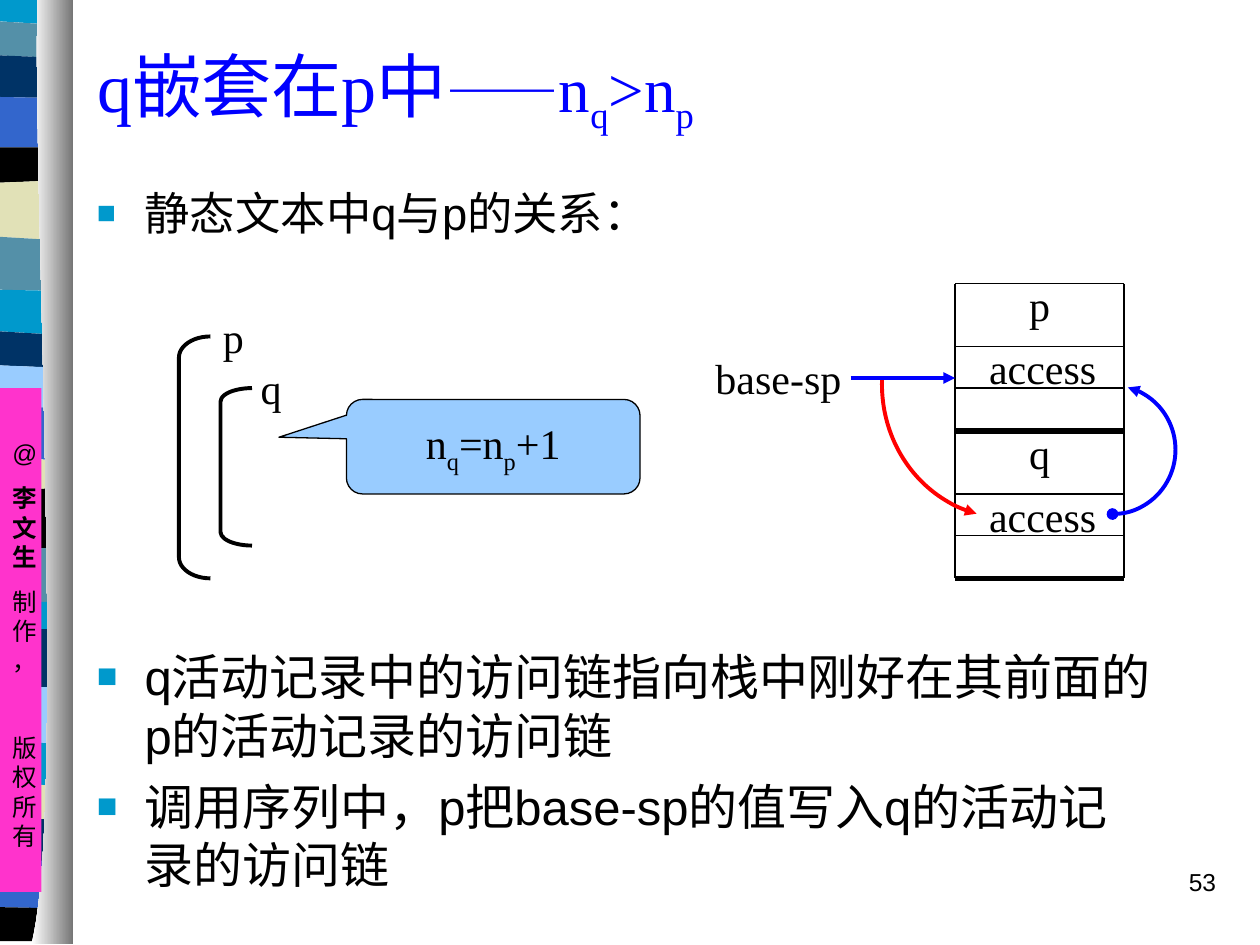
from lxml.etree import SubElement
from pptx import Presentation
from pptx.dml.color import RGBColor
from pptx.enum.shapes import MSO_CONNECTOR, MSO_SHAPE
from pptx.enum.text import MSO_ANCHOR, MSO_AUTO_SIZE, PP_ALIGN
from pptx.oxml.ns import qn
from pptx.util import Inches, Pt

BLACK, BLUE, RED, SKY = "000000", "0000FF", "FF0000", "99CCFF"
CYAN, TEAL, NAVY, ROYAL, SAND = "0099CC", "5490A8", "003366", "3366CC", "E1E1B7"
SERIF, SANS = "Times New Roman", "Arial"
SUB = "sub"

# Content: a run is (text, size) or (text, size, SUB)
TITLE = [("q嵌套在p中", 40), ("——", 32), ("n", 36), ("q", 36, SUB), (">n", 36), ("p", 36, SUB)]
INTRO = [[("静态文本中q与p的关系：", 25.9)]]
RULES = [
    [("q活动记录中的访问链指向栈中刚好在其前面的p的活动记录的访问链", 28)],
    [("调用序列中，p把base-sp的值写入q的活动记录的访问链", 28)],
]
DEPTH = [("n", 24), ("q", 24, SUB), ("=n", 24), ("p", 24, SUB), ("+1", 24)]
CREDIT = [("@", 0, False), ("李文生", 8.8, True), ("制作，", 8.8, False), ("版权所有", 33, False)]

# Side stripes: colour, top edge at the left, top edge at the right
STRIPES = [
    (CYAN, 0, 0), (TEAL, 0.17, 0.2), (NAVY, 0.44, 0.46), (ROYAL, 0.77, 0.78),
    (BLACK, 1.17, 1.17), (SAND, 1.45, 1.43), (TEAL, 1.88, 1.91), (CYAN, 2.3, 2.31),
    (NAVY, 2.63, 2.66), (SKY, 2.9, 2.92), (ROYAL, 3.24, 3.23), (SAND, 3.62, 3.66),
    (BLACK, 3.9, 3.87), (TEAL, 4.35, 4.35), (CYAN, 4.77, 4.78), (NAVY, 5, 4.99),
    (SKY, 5.44, 5.46), (CYAN, 5.89, 5.9), (SAND, 6.21, 6.24), (NAVY, 6.5, 6.5),
    (ROYAL, 6.83, 6.83), (BLACK, 7.2, 7.21),
]
# Procedure brackets: name, left, top, height, corner, label left, label top
BRACKETS = [("p", 1.42, 2.67, 1.92, 0.67, 1.67, 2.42), ("q", 1.75, 3.08, 1.25, 0.43, 1.97, 2.83)]
# Activation records: name, top
RECORDS = [("p", 2.25), ("q", 3.42)]
RECORD_LEFT, RECORD_RIGHT = 7.58, 8.92
# Access links: box, start and end angle, colour, mark at the far end
LINKS = [
    ((8.33, 3.06, 1, 1.02), 283.8, 90, BLUE, "oval"),
    ((7, 1.99, 2, 2.12), 103.6, 182.9, RED, None),
]

deck = Presentation()
deck.slide_width, deck.slide_height = Inches(10), Inches(7.5)
slide = deck.slides.add_slide(deck.slide_layouts[5])
shapes = slide.shapes


def inches(*values):
    return [Inches(value) for value in values]


def rgb(code):
    return RGBColor.from_string(code)


def paint(shape, fill=None, line=None, width=0.75):
    shape.shadow.inherit = False
    if fill:
        shape.fill.solid()
        shape.fill.fore_color.rgb = rgb(fill)
    else:
        shape.fill.background()
    if line:
        shape.line.color.rgb = rgb(line)
        shape.line.width = Pt(width)
    else:
        shape.line.fill.background()
    return shape


def write(para, runs, font=SERIF, color=BLACK, align=PP_ALIGN.LEFT, before=0, bold=False):
    para.alignment = align
    para.space_before = Pt(before)
    for text, size, *mark in runs:
        span = para.add_run()
        span.text = text
        span.font.name, span.font.size, span.font.bold = font, Pt(size), bold
        span.font.color.rgb = rgb(color)
        if SUB in mark:
            span.font._element.set("baseline", "-25000")


def add_text(box, paras, wrap=True, anchor=MSO_ANCHOR.TOP, bullet=False, **style):
    frame = shapes.add_textbox(*inches(*box)).text_frame
    frame.word_wrap, frame.vertical_anchor = wrap, anchor
    for index, runs in enumerate(paras):
        para = frame.add_paragraph() if index else frame.paragraphs[0]
        write(para, runs, **style)
        if bullet:
            add_bullet(para)


def add_bullet(para):
    props = para._p.get_or_add_pPr()
    props.set("marL", str(Inches(0.38)))
    props.set("indent", str(-Inches(0.38)))
    color = SubElement(props, qn("a:buClr"))
    SubElement(color, qn("a:srgbClr"), val=CYAN)
    SubElement(props, qn("a:buSzPct"), val="70000")
    SubElement(props, qn("a:buFont"), typeface=SANS)
    SubElement(props, qn("a:buChar"), char="■")


def add_label(text, left, top, width=0.36):
    add_text((left, top, width, 0.5), [[(text, 24)]], wrap=False,
             anchor=MSO_ANCHOR.MIDDLE, align=PP_ALIGN.CENTER)


def add_ends(shape, head=None, tail=None):
    line = shape.line._get_or_add_ln()
    for tag, kind in (("a:headEnd", head), ("a:tailEnd", tail)):
        if kind:
            SubElement(line, qn(tag), type=kind)


def add_line(x1, y1, x2, y2, color=BLACK, width=0.75):
    line = shapes.add_connector(MSO_CONNECTOR.STRAIGHT, *inches(x1, y1, x2, y2))
    line.line.color.rgb, line.line.width = rgb(color), Pt(width)
    SubElement(line._element.spPr, qn("a:effectLst"))
    return line


def add_outline(points):
    scaled = [inches(x, y) for x, y in points]
    builder = shapes.build_freeform(*scaled[0])
    builder.add_line_segments(scaled[1:], close=True)
    return builder.convert_to_shape()


def bezier(a, b, c, d, steps=40):
    for t in (step / steps for step in range(steps + 1)):
        s = 1 - t
        yield tuple(s**3 * i + 3 * s * s * t * j + 3 * s * t * t * k + t**3 * m
                    for i, j, k, m in zip(a, b, c, d))


# Side band: stripes, shaded edge, credit
for (color, left, right), (_, low_left, low_right) in zip(STRIPES, STRIPES[1:] + [(None, 7.47, 7.47)]):
    paint(add_outline([(0, left), (0.5, right), (0.5, low_right), (0, low_left)]), color)

edge = paint(add_outline([*bezier((0.3, 0), (0.25, 1.25), (0.53, 6.46), (0.25, 7.49)),
                          (0.58, 7.49), (0.58, 0)]))
edge.fill.gradient()
edge.fill.gradient_angle = 0
for stop, (position, color) in zip(edge.fill.gradient_stops, [(0, "FFFFFF"), (1, "767676")]):
    stop.position, stop.color.rgb = position, rgb(color)

credit = paint(shapes.add_shape(MSO_SHAPE.RECTANGLE, *inches(0, 3.08, 0.33, 4)), "FF33CC").text_frame
credit.word_wrap, credit.vertical_anchor = True, MSO_ANCHOR.TOP
credit.margin_top = Inches(0.4)
for index, (text, before, bold) in enumerate(CREDIT):
    para = credit.add_paragraph() if index else credit.paragraphs[0]
    write(para, [(text, 14)], font=SANS, align=PP_ALIGN.CENTER, before=before, bold=bold)

# Title and bullet texts
title = shapes.title
title.left, title.top, title.width, title.height = inches(0.67, 0.08, 9.12, 1.25)
title.text_frame.auto_size = MSO_AUTO_SIZE.NONE
title.text_frame.vertical_anchor = MSO_ANCHOR.MIDDLE
write(title.text_frame.paragraphs[0], TITLE, color=BLUE)
add_text((0.67, 1.42, 5, 0.58), INTRO, bullet=True, font=SANS, before=7)
add_text((0.67, 5.08, 8.58, 2.17), RULES, bullet=True, font=SANS, before=7)

# Nested procedures
for name, left, top, height, corner, label_left, label_top in BRACKETS:
    bracket = shapes.add_shape(MSO_SHAPE.LEFT_BRACKET, *inches(left, top, 0.25, height))
    bracket.adjustments[0] = corner
    paint(bracket, line=BLACK, width=2.25)
    add_label(name, label_left, label_top)

callout = shapes.add_shape(MSO_SHAPE.ROUNDED_RECTANGULAR_CALLOUT, *inches(2.75, 3.17, 2.33, 0.75))
for index, value in enumerate((-0.73, -0.1, 0.17)):
    callout.adjustments[index] = value
paint(callout, SKY, BLACK).text_frame.word_wrap = False
callout.text_frame.vertical_anchor = MSO_ANCHOR.MIDDLE
write(callout.text_frame.paragraphs[0], DEPTH, align=PP_ALIGN.CENTER)

# Stack of activation records
for name, top in RECORDS:
    add_label(name, 8.07, top - 0.08)
    add_label("access", 7.75, top + 0.42, 1.05)
    for offset, width in ((0, 0.75), (0.5, 0.75), (0.83, 0.75), (1.17, 3)):
        add_line(RECORD_LEFT, top + offset, RECORD_RIGHT, top + offset, width=width)
    for x in (RECORD_LEFT, RECORD_RIGHT):
        add_line(x, top, x, top + 1.17)

# Access links and base pointer
for box, start, end, color, mark in LINKS:
    arc = shapes.add_shape(MSO_SHAPE.ARC, *inches(*box))
    for index, degrees in enumerate((start, end)):
        arc.adjustments[index] = degrees * 0.6
    add_ends(paint(arc, line=color, width=2.25), head="triangle", tail=mark)
add_ends(add_line(6.75, 3, RECORD_LEFT, 3, BLUE, 2.25), tail="triangle")
add_text((5.58, 2.75, 1.25, 0.5), [[("base-sp", 24)]])

# Slide number
add_text((7.67, 6.83, 2.08, 0.5), [[("53", 14)]], font=SANS, align=PP_ALIGN.RIGHT)

deck.save("out.pptx")
